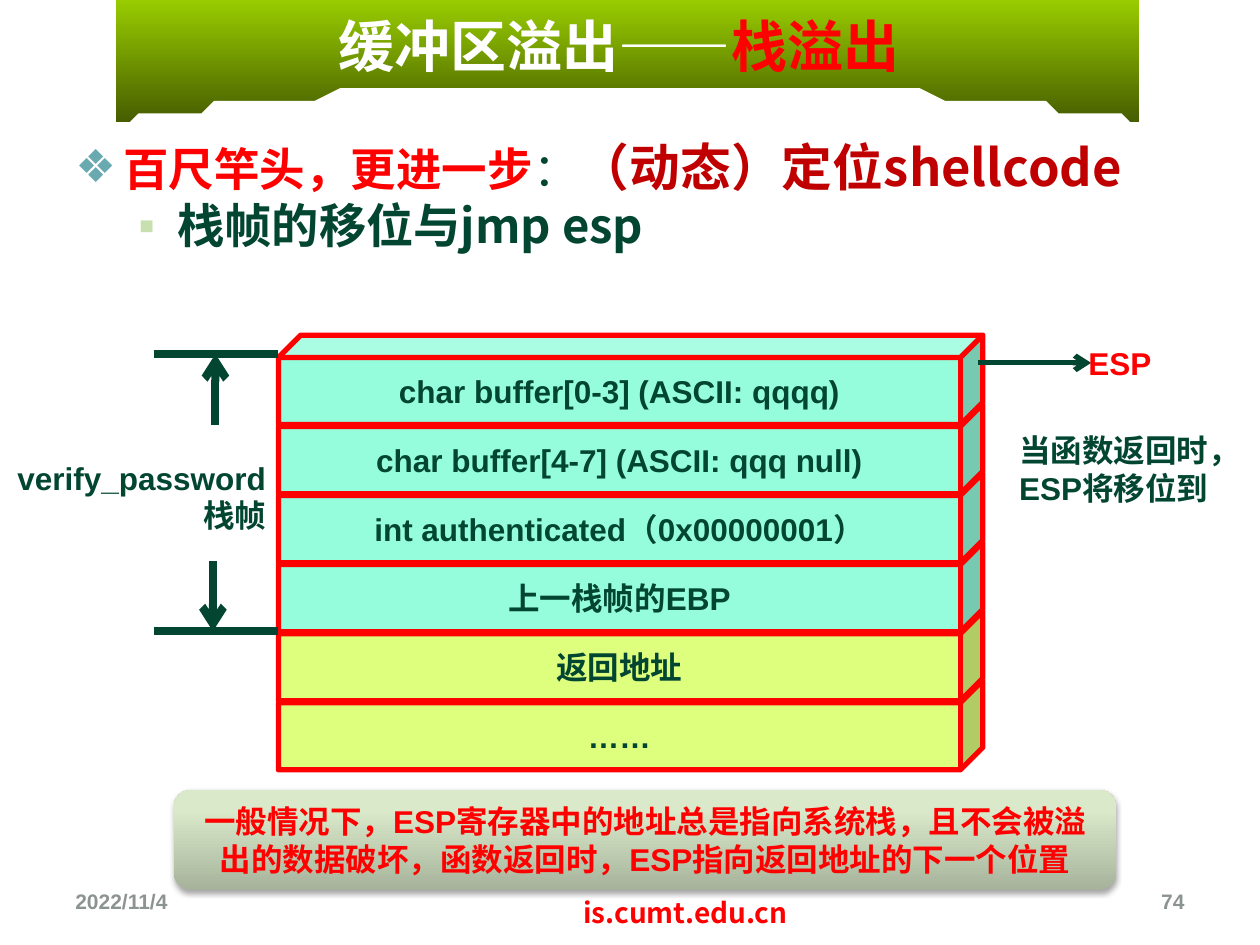
from lxml import etree
from pptx import Presentation
from pptx.dml.color import RGBColor
from pptx.enum.shapes import MSO_CONNECTOR as Link, MSO_SHAPE as Preset
from pptx.enum.text import MSO_ANCHOR as Anchor, PP_ALIGN as Align
from pptx.oxml.ns import qn
from pptx.util import Inches, Pt

# The slide is a grid of 100 columns by 75 rows
CELL = Inches(0.1)
COLUMNS, ROWS = 100, 75
ARIAL, NOTO = "Arial", "Noto Sans CJK SC"
COLORS = {
    "white": "FFFFFF", "ink": "024631", "red": "FF0000", "crimson": "C00000",
    "gray": "8C9490", "lime": "99CC00", "moss": "465D00",
    "aqua": "95FCDC", "yellow": "DEFF7D",
    "diamond": "69AAB1", "square": "C8E0B0",
    "sage": "A7B49B", "pale": "D9E9CA", "black": "000000",
}
STACK = [
    ("char buffer[0-3] (ASCII: qqqq)", "aqua"),
    ("char buffer[4-7] (ASCII: qqq null)", "aqua"),
    ("int authenticated（0x00000001）", "aqua"),
    ("上一栈帧的EBP", "aqua"),
    ("返回地址", "yellow"),
    ("……", "yellow"),
]
STACK_LEFT, STACK_TOP, STACK_STEP = 22.1, 26.6, 5.48


def rgb(name):
    return RGBColor.from_string(COLORS[name])


def grid(*lengths):
    return [round(length * CELL) for length in lengths]


def add_run(paragraph, text, size=18, color="ink", face=ARIAL, bold=True):
    run = paragraph.add_run()
    run.text = text
    font = run.font
    font.size, font.bold, font.name = Pt(size), bold, face
    font.color.rgb = rgb(color)
    east_asian = etree.SubElement(run._r.get_or_add_rPr(), qn("a:ea"))
    east_asian.set("typeface", NOTO)


def add_text(shapes, place, runs, align=Align.LEFT, anchor=Anchor.TOP):
    """Text box whose single paragraph is made of runs."""
    box = shapes.add_textbox(*grid(*place))
    frame = box.text_frame
    frame.word_wrap, frame.vertical_anchor = True, anchor
    frame.paragraphs[0].alignment = align
    for text, style in runs:
        add_run(frame.paragraphs[0], text, **style)
    return frame


def add_bullet(paragraph, mark, color, margin, indent):
    properties = paragraph._p.get_or_add_pPr()
    properties.set("marL", str(Inches(margin)))
    properties.set("indent", str(Inches(indent)))
    tint = etree.SubElement(properties, qn("a:buClr"))
    etree.SubElement(tint, qn("a:srgbClr")).set("val", COLORS[color])
    etree.SubElement(properties, qn("a:buFont")).set("typeface", ARIAL)
    etree.SubElement(properties, qn("a:buChar")).set("char", mark)


def add_block(shapes, preset, place, label=None, color="ink"):
    """Preset shape without shadow or line, with an optional centred label."""
    block = shapes.add_shape(preset, *grid(*place))
    block.shadow.inherit = False
    block.line.fill.background()
    frame = block.text_frame
    frame.word_wrap, frame.vertical_anchor = True, Anchor.MIDDLE
    if label:
        frame.paragraphs[0].alignment = Align.CENTER
        add_run(frame.paragraphs[0], label, color=color)
    return block


def fill_gradient(shape, stops, angle):
    shape.fill.gradient()
    shape.fill.gradient_angle = angle
    for stop, (position, color) in zip(shape.fill.gradient_stops, stops):
        stop.position, stop.color.rgb = position, rgb(color)


def add_line(shapes, start, end, width=4.5, arrow=None):
    """Straight line; arrow is headEnd, tailEnd or None."""
    line = shapes.add_connector(Link.STRAIGHT, *grid(*start, *end))
    line.line.color.rgb, line.line.width = rgb("ink"), Pt(width)
    if arrow:
        etree.SubElement(line.line._get_or_add_ln(), qn("a:" + arrow)).set("type", "arrow")
    etree.SubElement(line._element.spPr, qn("a:effectLst"))


def bezier(*controls, steps=24):
    """Points along a cubic curve, after its start."""
    for step in range(1, steps + 1):
        t = step / steps
        weights = ((1 - t) ** 3, 3 * t * (1 - t) ** 2, 3 * t * t * (1 - t), t ** 3)
        yield tuple(sum(w * p[axis] for w, p in zip(weights, controls)) for axis in (0, 1))


def add_header(shapes):
    # Green band with a white arch cut into its lower edge
    band = add_block(shapes, Preset.RECTANGLE, (9.2, 0, 81.2, 9.7))
    fill_gradient(band, [(0, "lime"), (1, "moss")], 270)
    crown, right, left = (50.9, 6.8), (91.9, 10.1), (6.7, 10.4)
    outline = shapes.build_freeform(*crown, scale=CELL)
    outline.add_line_segments(bezier(crown, (81.5, 6.9), (91.9, 9.9), right), close=False)
    outline.add_line_segments([left], close=False)
    outline.add_line_segments(bezier(left, (11, 9.3), (20.4, 6.7), crown))
    arch = outline.convert_to_shape()
    arch.shadow.inherit = False
    arch.fill.solid()
    arch.fill.fore_color.rgb = rgb("white")
    arch.line.fill.background()

    heading = {"size": 32, "face": NOTO}
    add_text(shapes, (3.3, 0.5, 91.7, 6.2),
             [("缓冲区溢出——", {**heading, "color": "white"}),
              ("栈溢出", {**heading, "color": "red"})], Align.CENTER, Anchor.MIDDLE)


def add_points(shapes):
    body = add_text(shapes, (5, 10.8, 90, 13), [
        ("百尺竿头，更进一步", {"size": 26, "color": "red"}),
        ("：", {"size": 26, "bold": False}),
        ("（动态）定位shellcode", {"size": 29, "color": "crimson", "face": NOTO})])
    point, subpoint = body.paragraphs[0], body.add_paragraph()
    add_run(subpoint, "栈帧的移位与jmp esp", size=27, face=NOTO)
    subpoint.level = 1
    point.line_spacing = subpoint.line_spacing = 0.9
    subpoint.space_before = Pt(3)
    add_bullet(point, "❖", "diamond", 0.38, -0.38)
    add_bullet(subpoint, "▪", "square", 0.81, -0.31)


def add_stack(shapes):
    # Lower cubes first, so each one is overlapped by the cube above
    for level, (label, color) in reversed(list(enumerate(STACK))):
        top = STACK_TOP + level * STACK_STEP
        cube = add_block(shapes, Preset.CUBE, (STACK_LEFT, top, 55.9, 7.1), label)
        cube.fill.solid()
        cube.fill.fore_color.rgb = rgb(color)
        cube.line.color.rgb, cube.line.width = rgb("red"), Pt(3)


def add_frame_bracket(shapes):
    # Extent of the verify_password stack frame
    top, bottom, arrow_length = 28.1, 50.1, 5.6
    for edge in (top, bottom):
        add_line(shapes, (12.2, edge), (STACK_LEFT, edge))
    add_line(shapes, (17.1, top), (17.1, top + arrow_length), arrow="headEnd")
    add_line(shapes, (16.9, bottom - arrow_length), (16.9, bottom), arrow="tailEnd")
    add_text(shapes, (-0.4, 35.9, 22.5, 7.1), [("verify_password栈帧", {})], Align.RIGHT)


def add_pointer(shapes):
    # ESP arrow with its label, and the remark below
    pointer = shapes.add_group_shape().shapes
    add_line(pointer, (77.6, 28.8), (86.6, 28.8), width=3, arrow="tailEnd")
    add_text(pointer, (85.4, 26.8, 13.4, 4), [("ESP", {"color": "red"})])
    add_text(shapes, (79.9, 33.7, 18.9, 7.1), [("当函数返回时，ESP将移位到", {})])


def add_conclusion(shapes):
    note = add_block(
        shapes, Preset.ROUNDED_RECTANGLE, (13.8, 62.7, 74.8, 7.9),
        "一般情况下，ESP寄存器中的地址总是指向系统栈，且不会被溢出的数据破坏，"
        "函数返回时，ESP指向返回地址的下一个位置", "red")
    fill_gradient(note, [(0, "sage"), (0.8, "pale")], 90)
    effects = note._element.spPr.find(qn("a:effectLst"))
    shadow = etree.SubElement(effects, qn("a:outerShdw"), blurRad=str(Pt(3.1)),
                              dist=str(Pt(1.8)), dir="5400000", rotWithShape="0")
    shade = etree.SubElement(shadow, qn("a:srgbClr"), val=COLORS["black"])
    etree.SubElement(shade, qn("a:alpha"), val="35000")


def add_footer(shapes):
    small = {"size": 12, "color": "gray"}
    add_text(shapes, (5, 69.5, 23.3, 4), [("2022/11/4", small)], anchor=Anchor.MIDDLE)
    add_text(shapes, (39, 70.6, 30.8, 3.7),
             [("is.cumt.edu.cn", {"size": 16, "color": "red", "face": NOTO})], Align.CENTER)
    add_text(shapes, (71.7, 69.5, 23.3, 4), [("74", small)], Align.RIGHT, Anchor.MIDDLE)


def main():
    deck = Presentation()
    deck.slide_width, deck.slide_height = grid(COLUMNS, ROWS)
    shapes = deck.slides.add_slide(deck.slide_layouts[6]).shapes
    for add_part in (add_header, add_points, add_stack, add_frame_bracket,
                     add_pointer, add_conclusion, add_footer):
        add_part(shapes)
    deck.save("out.pptx")


if __name__ == "__main__":
    main()
